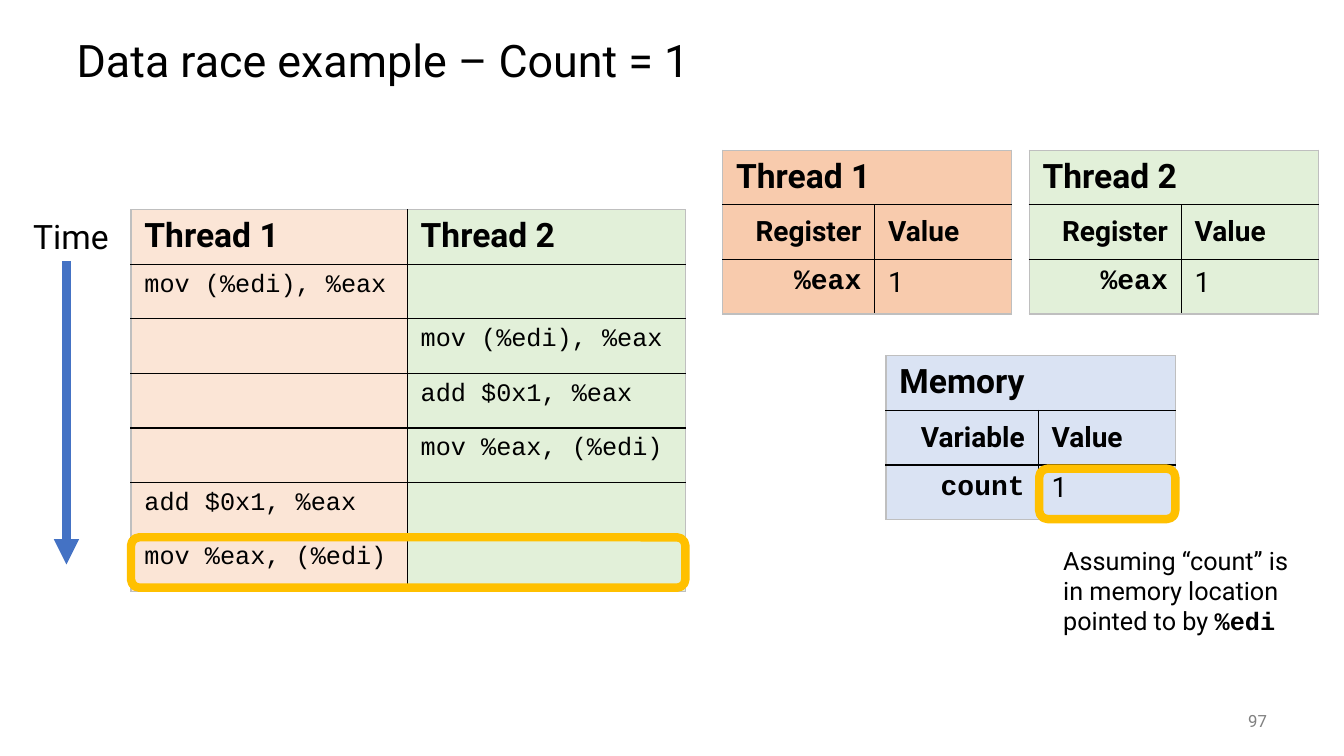
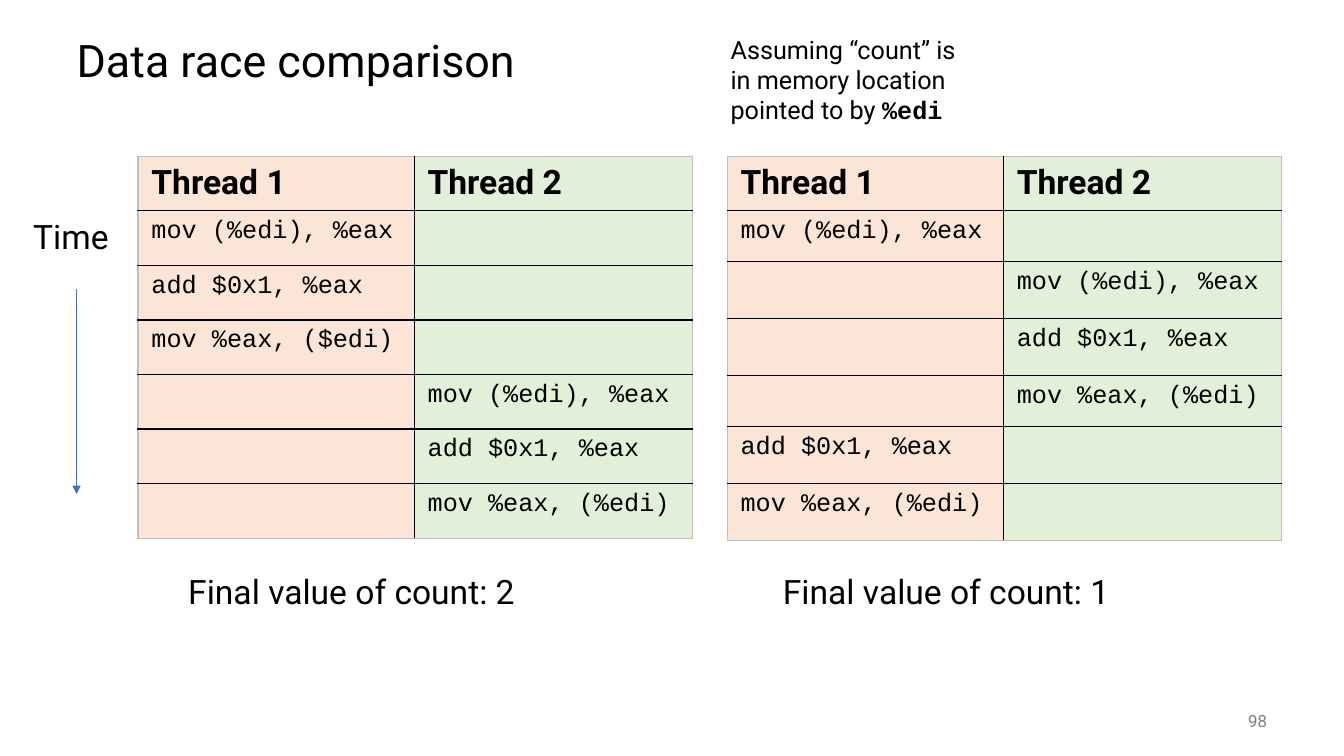
from lxml import etree
from pptx import Presentation
from pptx.dml.color import RGBColor
from pptx.enum.shapes import MSO_CONNECTOR as Connector, MSO_SHAPE as Shape
from pptx.enum.text import MSO_ANCHOR as Anchor, PP_ALIGN as Align
from pptx.oxml.ns import qn
from pptx.util import Pt

COLORS = {
    "text": "000000", "number": "808080", "edge": "BFBFBF", "arrow": "4472C4",
    "highlight": "FFC000", "peach": "FBE5D6", "orange": "F8CBAD",
    "green": "E2F0D9", "blue": "DAE3F3",
}
SANS, MONO = "Roboto", "Courier New"
TITLE = {"name": SANS, "size": Pt(32), "bold": False}
LABEL = {"name": SANS, "size": Pt(24), "bold": False}
HEADING = {"name": SANS, "size": Pt(24), "bold": True}
COLUMN = {"name": SANS, "size": Pt(20), "bold": True}
VARIABLE = {"name": MONO, "size": Pt(20), "bold": True}
VALUE = {"name": SANS, "size": Pt(20), "bold": False}
CODE = {"name": MONO, "size": Pt(18), "bold": False}
NOTE = {"name": SANS, "size": Pt(18), "bold": False}
NOTE_CODE = {"name": MONO, "size": Pt(18), "bold": True}
NUMBER = {"name": SANS, "size": Pt(12), "bold": False}

ROW = 39
TRACE_COLUMNS = (197.3, 198.7)
STATE_COLUMNS = (108.7, 97.9)
TRACE_FILLS = ("peach", "green")
UNEVEN_ROWS = (ROW, 36.5, 40.6, 40.6, 36.5, 40.6, 40.6)

LOAD, ADD, STORE = "mov (%edi), %eax", "add $0x1, %eax", "mov %eax, (%edi)"
RACE = [(0, LOAD), (1, LOAD), (1, ADD), (1, STORE), (0, ADD), (0, STORE)]
SERIAL = [(0, LOAD), (0, ADD), (0, "mov %eax, ($edi)"),
          (1, LOAD), (1, ADD), (1, STORE)]

SLIDES = [
    {
        "title": "Data race example – Count = 1",
        "number": "97",
        "traces": [(93.6, 149.8, RACE, (ROW,) * 7)],
        "arrow": (47.5, 186.5, 403.2, 6),
        "note": (752.4, 385.9),
        "states": [
            (516.2, 107.3, "orange", "Thread 1", "Register", "%eax", "1"),
            (735.1, 107.3, "green", "Thread 2", "Register", "%eax", "1"),
            (632.9, 254.2, "blue", "Memory", "Variable", "count", "1"),
        ],
        "highlights": [(93.6, 383.8, 396, 36), (742.3, 334.8, 97.2, 36)],
        "results": [],
    },
    {
        "title": "Data race comparison",
        "number": "98",
        "traces": [(98.6, 111.6, SERIAL, (ROW,) * 7),
                   (519.4, 111.6, RACE, UNEVEN_ROWS)],
        "arrow": (54.7, 206.6, 352.8, 1),
        "note": (514.8, 20.9),
        "states": [],
        "highlights": [],
        "results": [(127.4, "Final value of count: 2"),
                    (552.2, "Final value of count: 1")],
    },
]


def color(name):
    return RGBColor.from_string(COLORS[name])


def write(paragraph, runs, align=Align.LEFT, ink="text"):
    paragraph.alignment = align
    for text, style in runs:
        run = paragraph.add_run()
        run.text = text
        for name, value in style.items():
            setattr(run.font, name, value)
        run.font.color.rgb = color(ink)


def add_text(slide, box, runs, anchor=Anchor.TOP, **options):
    frame = slide.shapes.add_textbox(*map(Pt, box)).text_frame
    frame.word_wrap = True
    frame.vertical_anchor = anchor
    write(frame.paragraphs[0], runs, **options)


def add_title(slide, text):
    title = slide.shapes.title
    title.left, title.top, title.width, title.height = map(Pt, (47.5, 18, 864, 54))
    title.text_frame.vertical_anchor = Anchor.MIDDLE
    paragraph = title.text_frame.paragraphs[0]
    paragraph.line_spacing = 0.9
    write(paragraph, [(text, TITLE)])


def set_border(cell, side, ink):
    line = etree.SubElement(cell._tc.get_or_add_tcPr(), qn(f"a:ln{side}"), w=str(Pt(1)))
    fill = etree.SubElement(line, qn("a:solidFill"))
    etree.SubElement(fill, qn("a:srgbClr"), val=COLORS[ink])


def add_table(slide, left, top, columns, heights):
    size = map(Pt, (left, top, sum(columns), sum(heights)))
    table = slide.shapes.add_table(len(heights), len(columns), *size).table
    table.first_row = table.horz_banding = False
    for column, width in zip(table.columns, columns):
        column.width = Pt(width)
    for row, height in zip(table.rows, heights):
        row.height = Pt(height)
    return table


def format_cells(table, fills):
    last_row, last_column = len(table.rows) - 1, len(table.columns) - 1
    for r in range(last_row + 1):
        for c, fill in enumerate(fills):
            cell = table.cell(r, c)
            if cell.is_spanned:
                continue
            right = c + (cell.span_width if cell.is_merge_origin else 1) - 1
            outer = {"L": c == 0, "R": right == last_column,
                     "T": r == 0, "B": r == last_row}
            for side, is_outer in outer.items():
                set_border(cell, side, "edge" if is_outer else "text")
            cell.fill.solid()
            cell.fill.fore_color.rgb = color(fill)
            cell.margin_left = cell.margin_right = Pt(9.6)
            cell.margin_top = cell.margin_bottom = Pt(4.8)


def write_cell(cell, text, style, align=Align.LEFT):
    write(cell.text_frame.paragraphs[0], [(text, style)], align)


def add_trace(slide, left, top, steps, heights):
    table = add_table(slide, left, top, TRACE_COLUMNS, heights)
    format_cells(table, TRACE_FILLS)
    for c, heading in enumerate(("Thread 1", "Thread 2")):
        write_cell(table.cell(0, c), heading, HEADING)
    for r, (thread, instruction) in enumerate(steps, 1):
        write_cell(table.cell(r, thread), instruction, CODE)


def add_state(slide, left, top, fill, heading, kind, name, value):
    table = add_table(slide, left, top, STATE_COLUMNS, (ROW,) * 3)
    table.cell(0, 0).merge(table.cell(0, 1))
    format_cells(table, (fill, fill))
    write_cell(table.cell(0, 0), heading, HEADING)
    write_cell(table.cell(1, 0), kind, COLUMN, Align.RIGHT)
    write_cell(table.cell(1, 1), "Value", COLUMN)
    write_cell(table.cell(2, 0), name, VARIABLE, Align.RIGHT)
    write_cell(table.cell(2, 1), value, VALUE)
    for c in range(2):
        table.cell(1, c).vertical_anchor = Anchor.MIDDLE


def add_time_arrow(slide, x, top, bottom, width):
    arrow = slide.shapes.add_connector(Connector.STRAIGHT, *map(Pt, (x, top, x, bottom)))
    arrow.line.color.rgb = color("arrow")
    arrow.line.width = Pt(width)
    etree.SubElement(arrow.line._get_or_add_ln(), qn("a:tailEnd"), type="triangle")
    etree.SubElement(arrow._element.spPr, qn("a:effectLst"))


def add_highlight(slide, *box):
    shape = slide.shapes.add_shape(Shape.ROUNDED_RECTANGLE, *map(Pt, box))
    shape.shadow.inherit = False
    shape.fill.background()
    shape.line.color.rgb = color("highlight")
    shape.line.width = Pt(6)


def build_slide(presentation, content):
    slide = presentation.slides.add_slide(presentation.slide_layouts[5])
    add_title(slide, content["title"])
    add_text(slide, (840.2, 500.4, 72, 28.8), [(content["number"], NUMBER)],
             Anchor.MIDDLE, align=Align.RIGHT, ink="number")
    for trace in content["traces"]:
        add_trace(slide, *trace)
    add_text(slide, (16.6, 150.5, 78.5, 36), [("Time", LABEL)])
    add_time_arrow(slide, *content["arrow"])
    add_text(slide, (*content["note"], 175.7, 72.7),
             [("Assuming “count” is in memory location pointed to by ", NOTE),
              ("%edi", NOTE_CODE)])
    for state in content["states"]:
        add_state(slide, *state)
    for box in content["highlights"]:
        add_highlight(slide, *box)
    for left, text in content["results"]:
        add_text(slide, (left, 403.9, 331.2, 36), [(text, LABEL)])


def main():
    presentation = Presentation()
    presentation.slide_width, presentation.slide_height = Pt(960), Pt(540)
    for content in SLIDES:
        build_slide(presentation, content)
    presentation.save("out.pptx")


if __name__ == "__main__":
    main()
